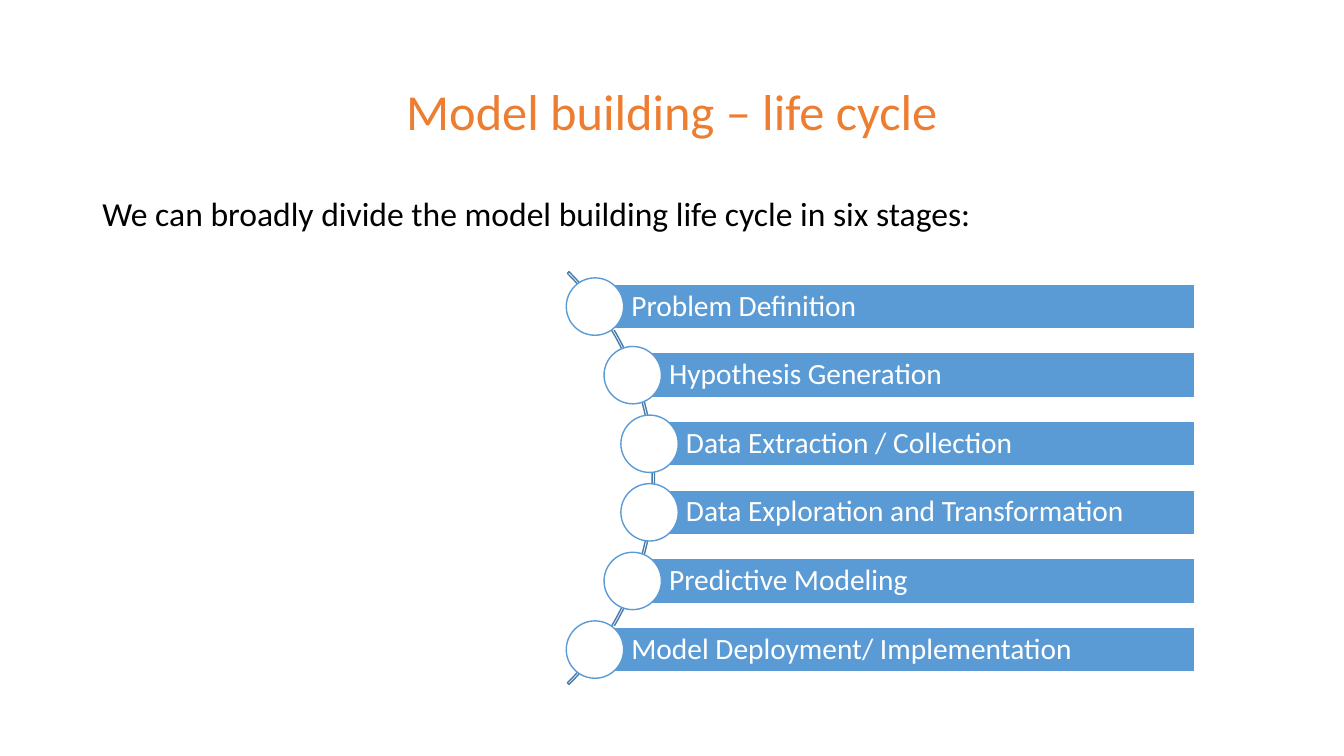
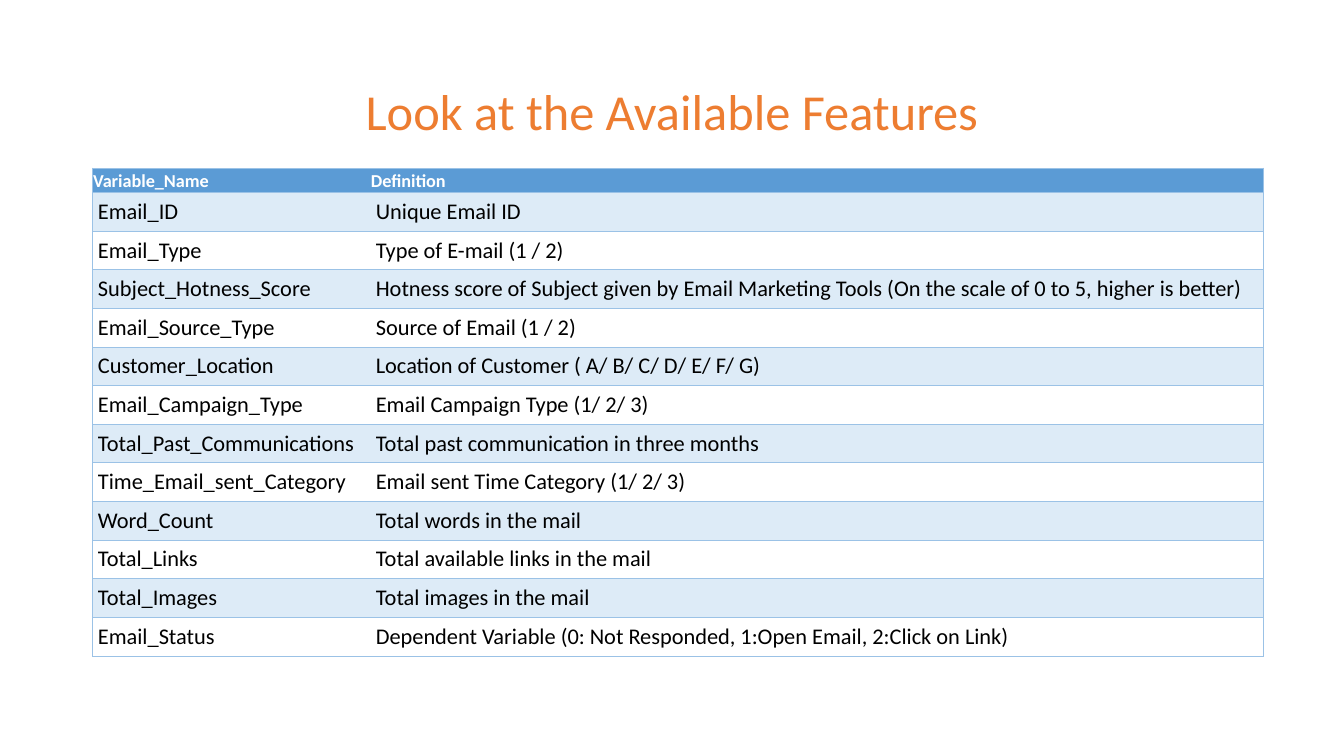
"""Build two slides: the model building life cycle and the table of available features."""
from lxml import etree
from pptx import Presentation
from pptx import util as u
from pptx.dml import color
from pptx.enum import shapes, text
from pptx.oxml import ns

PX = 6350
FONT = "Calibri"
COLORS = {
    "title": "ED7D31",
    "blue": "5B9BD5",
    "arc": "497CAB",
    "band": "DDEBF7",
    "border": "9BC2E6",
    "white": "FFFFFF",
    "black": "000000",
}
RGB = {name: color.RGBColor.from_string(value) for name, value in COLORS.items()}

STAGES = [
    ("Problem Definition", 850),
    ("Hypothesis Generation", 904),
    ("Data Extraction / Collection", 928),
    ("Data Exploration and Transformation", 928),
    ("Predictive Modeling", 904),
    ("Model Deployment/ Implementation", 850),
]
FEATURES = [
    ("Variable_Name", "Definition"),
    ("Email_ID", "Unique Email ID"),
    ("Email_Type", "Type of E-mail (1 / 2)"),
    ("Subject_Hotness_Score",
     "Hotness score of Subject given by Email Marketing Tools (On the scale of 0 to 5, higher is better)"),
    ("Email_Source_Type", "Source of Email (1 / 2)"),
    ("Customer_Location", "Location of Customer ( A/ B/ C/ D/ E/ F/ G)"),
    ("Email_Campaign_Type", "Email Campaign Type (1/ 2/ 3)"),
    ("Total_Past_Communications", "Total past communication in three months"),
    ("Time_Email_sent_Category", "Email sent Time Category (1/ 2/ 3)"),
    ("Word_Count", "Total words in the mail"),
    ("Total_Links", "Total available links in the mail"),
    ("Total_Images", "Total images in the mail"),
    ("Email_Status", "Dependent Variable (0: Not Responded, 1:Open Email, 2:Click on Link)"),
]


def write(tf, content, size=16, ink="black", bold=False, align=text.PP_ALIGN.LEFT, spacing=1.0):
    """Fill a text frame with one formatted paragraph."""
    p = tf.paragraphs[0]
    p.alignment = align
    p.line_spacing = spacing
    r = p.add_run()
    r.text = content
    r.font.name = FONT
    r.font.size = u.Pt(size)
    r.font.bold = bold
    r.font.color.rgb = RGB[ink]


def add_titled_slide(prs, title):
    """Add a title-only slide with the shared title style."""
    s = prs.slides.add_slide(prs.slide_layouts[5])
    sp = s.shapes.title
    sp.left, sp.top, sp.width, sp.height = [v * PX for v in (132, 58, 1656, 209)]
    tf = sp.text_frame
    tf.auto_size = text.MSO_AUTO_SIZE.NONE
    tf.vertical_anchor = text.MSO_ANCHOR.MIDDLE
    write(tf, title, size=36, ink="title", align=text.PP_ALIGN.CENTER, spacing=0.9)
    return s


prs = Presentation()
prs.slide_width, prs.slide_height = 1920 * PX, 1080 * PX

s = add_titled_slide(prs, "Model building – life cycle")

arc = s.shapes.add_shape(shapes.MSO_SHAPE.BLOCK_ARC, 101 * PX, 266 * PX, 834 * PX, 834 * PX)
arc.adjustments[0], arc.adjustments[1], arc.adjustments[2] = 189, 27, 0.004
arc.shadow.inherit = False
arc.fill.background()
arc.line.color.rgb = RGB["arc"]
arc.line.width = u.Pt(1)

BAR_RIGHT, BAR_H, CIRCLE, FIRST_Y, PITCH = 1707, 64, 82, 438, 98
for i, (stage, x) in enumerate(STAGES):
    y = FIRST_Y + i * PITCH
    bar = s.shapes.add_shape(shapes.MSO_SHAPE.RECTANGLE, x * PX, (y - BAR_H // 2) * PX,
                             (BAR_RIGHT - x) * PX, BAR_H * PX)
    circle = s.shapes.add_shape(shapes.MSO_SHAPE.OVAL, (x - CIRCLE // 2) * PX, (y - CIRCLE // 2) * PX,
                                CIRCLE * PX, CIRCLE * PX)
    for sp, fill, line in ((bar, "blue", "white"), (circle, "white", "blue")):
        sp.shadow.inherit = False
        sp.fill.solid()
        sp.fill.fore_color.rgb = RGB[fill]
        sp.line.color.rgb = RGB[line]
        sp.line.width = u.Pt(1)
    tf = bar.text_frame
    tf.word_wrap = True
    tf.vertical_anchor = text.MSO_ANCHOR.MIDDLE
    tf.margin_left = 52 * PX
    tf.margin_right = tf.margin_top = tf.margin_bottom = 8 * PX
    write(tf, stage, size=21, ink="white", spacing=0.9)

intro = s.shapes.add_textbox(132 * PX, 240 * PX, 1656 * PX, 98 * PX)
intro.text_frame.word_wrap = True
write(intro.text_frame, "We can broadly divide the model building life cycle in six stages:", size=24, spacing=1.5)

s = add_titled_slide(prs, "Look at the Available Features")

COL_W, HEADER_H, ROW_H = (397, 1276), 35, 55
table_h = HEADER_H + ROW_H * (len(FEATURES) - 1)
table = s.shapes.add_table(len(FEATURES), len(COL_W), 132 * PX, 240 * PX, sum(COL_W) * PX, table_h * PX).table
table.horz_banding = False
for column, width in zip(table.columns, COL_W):
    column.width = width * PX

for i, row in enumerate(FEATURES):
    header = i == 0
    table.rows[i].height = (HEADER_H if header else ROW_H) * PX
    fill = "blue" if header else "band" if i % 2 else "white"
    for j, content in enumerate(row):
        cell = table.cell(i, j)
        cell.margin_left = cell.margin_right = cell.margin_top = (1 if header else 8) * PX
        cell.margin_bottom = (0 if header else 8) * PX
        cell.vertical_anchor = text.MSO_ANCHOR.BOTTOM if header else text.MSO_ANCHOR.TOP
        tc_pr = cell._tc.get_or_add_tcPr()
        inner_side = "R" if j == 0 else "L"
        for side in "LRTB":
            ln = etree.SubElement(tc_pr, ns.qn("a:ln" + side), w=str(u.Pt(0.5)))
            if side == inner_side:
                etree.SubElement(ln, ns.qn("a:noFill"))
            else:
                solid = etree.SubElement(ln, ns.qn("a:solidFill"))
                etree.SubElement(solid, ns.qn("a:srgbClr"), val=COLORS["border"])
        cell.fill.solid()
        cell.fill.fore_color.rgb = RGB[fill]
        write(cell.text_frame, content, size=13 if header else 16,
              ink="white" if header else "black", bold=header)

prs.save("out.pptx")
